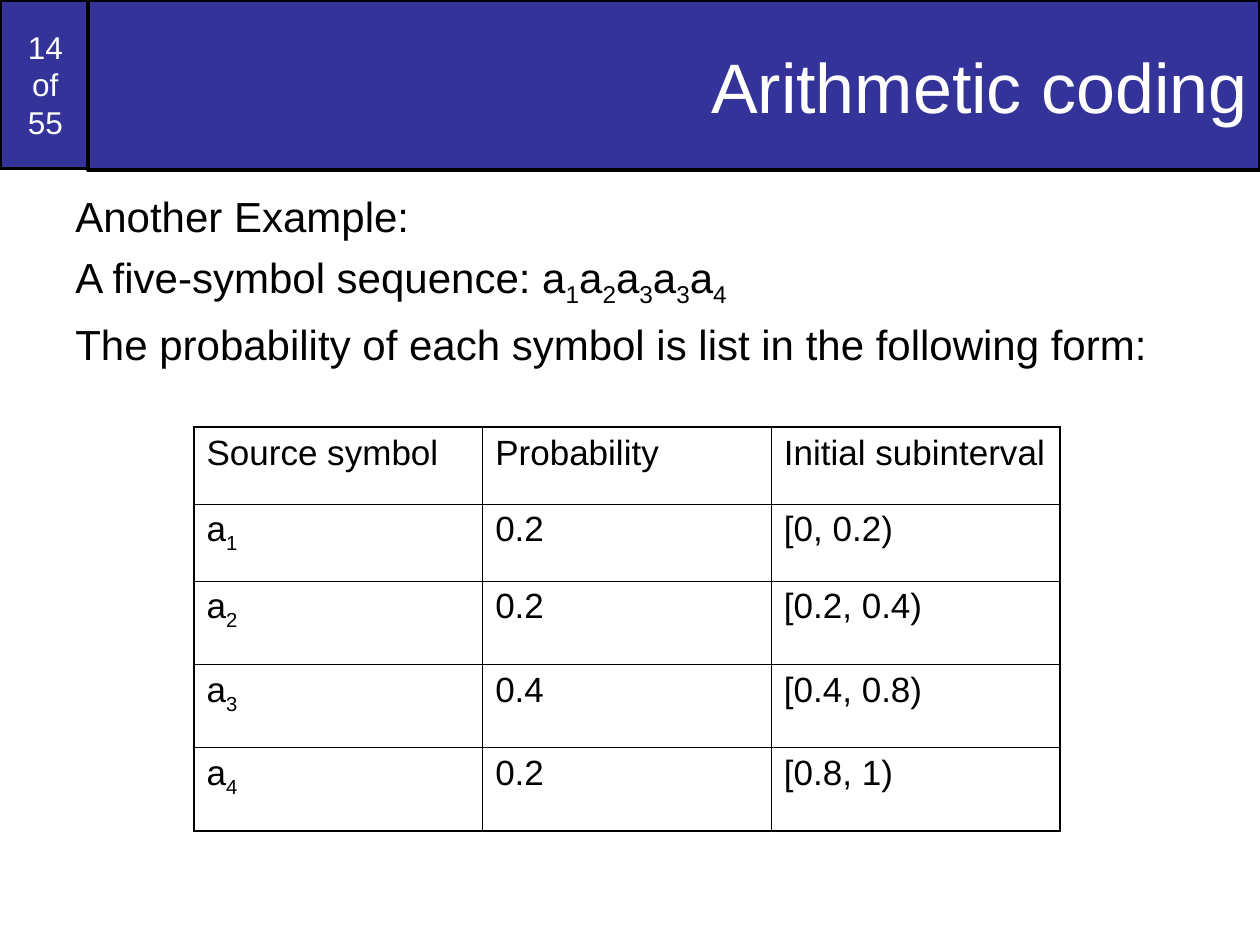
"""Build the arithmetic coding slide with its symbol probability table."""
from lxml.etree import SubElement
from pptx import Presentation
from pptx.dml.color import RGBColor
from pptx.enum.shapes import MSO_SHAPE as Shape
from pptx.enum.text import MSO_ANCHOR as Anchor, PP_ALIGN as Align
from pptx.oxml.ns import qn
from pptx.util import Cm, Pt

FONT = "Arial"
BLUE, BLACK, WHITE = "333399", "000000", "FFFFFF"
THIN, THICK = 0.45, 1.08

PAGE_NUMBER = "14\vof\v55"
TITLE = "Arithmetic coding"
EXAMPLE = [
    "Another Example:",
    "A five-symbol sequence: a_1a_2a_3a_3a_4",
    "The probability of each symbol is list in the following form:",
]
PROBABILITIES = [
    ("Source symbol", "Probability", "Initial subinterval"),
    ("a_1", "0.2", "[0, 0.2)"),
    ("a_2", "0.2", "[0.2, 0.4)"),
    ("a_3", "0.4", "[0.4, 0.8)"),
    ("a_4", "0.2", "[0.8, 1)"),
]
ROW_HEIGHTS = [1.55, 1.55, 1.68, 1.68, 1.68]
COLUMN_WIDTH = 5.82


def rgb(value):
    return RGBColor.from_string(value)


def write(frame, text, *, size, color=BLACK, align=Align.LEFT, gap=0):
    """Write newline-separated paragraphs; an underscore lowers the next character."""
    frame.word_wrap = True
    for index, content in enumerate(text.split("\n")):
        paragraph = frame.add_paragraph() if index else frame.paragraphs[0]
        paragraph.alignment = align
        paragraph.space_before = Pt(gap if index else 0)
        for number, line in enumerate(content.split("\v")):
            if number:
                paragraph.add_line_break()
            start, *lowered = line.split("_")
            pieces = [(start, False)]
            for part in lowered:
                pieces += [(part[0], True), (part[1:], False)]
            for piece, subscript in pieces:
                if piece:
                    run = paragraph.add_run()
                    run.text = piece
                    run.font.name, run.font.size = FONT, Pt(size)
                    run.font.color.rgb = rgb(color)
                    if subscript:
                        run.font._element.set("baseline", "-25000")


def add_panel(slide, left, width, height, text, **style):
    panel = slide.shapes.add_shape(Shape.RECTANGLE, Cm(left), 0, Cm(width), Cm(height))
    panel.shadow.inherit = False
    panel.fill.solid()
    panel.fill.fore_color.rgb = rgb(BLUE)
    panel.line.color.rgb = rgb(BLACK)
    panel.line.width = Pt(2)
    panel.text_frame.vertical_anchor = Anchor.MIDDLE
    write(panel.text_frame, text, color=WHITE, **style)


def set_borders(cell, widths):
    properties = cell._tc.get_or_add_tcPr()
    for side, width in widths.items():
        border = SubElement(properties, qn(f"a:ln{side}"), w=str(Pt(width)))
        SubElement(SubElement(border, qn("a:solidFill")), qn("a:srgbClr"), val=BLACK)


def add_probabilities(slide):
    rows, columns = len(PROBABILITIES), len(PROBABILITIES[0])
    table = slide.shapes.add_table(
        rows, columns, Cm(3.91), Cm(8.61),
        Cm(COLUMN_WIDTH * columns), Cm(sum(ROW_HEIGHTS)),
    ).table
    table.first_row = table.horz_banding = False
    for column in table.columns:
        column.width = Cm(COLUMN_WIDTH)
    for r, entries in enumerate(PROBABILITIES):
        table.rows[r].height = Cm(ROW_HEIGHTS[r])
        for c, entry in enumerate(entries):
            cell = table.cell(r, c)
            outer = {"L": c == 0, "R": c == columns - 1, "T": r == 0, "B": r == rows - 1}
            set_borders(cell, {side: THICK if edge else THIN for side, edge in outer.items()})
            cell.fill.background()
            write(cell.text_frame, entry, size=20)


def main():
    deck = Presentation()
    deck.slide_width, deck.slide_height = Cm(25.4), Cm(19.05)
    slide = deck.slides.add_slide(deck.slide_layouts[6])
    add_panel(slide, 0, 1.83, 3.4, PAGE_NUMBER, size=18, align=Align.CENTER)
    add_panel(slide, 1.78, 23.62, 3.43, TITLE, size=40, align=Align.RIGHT)
    example = slide.shapes.add_textbox(Cm(1.27), Cm(3.71), Cm(22.56), Cm(15.34))
    write(example.text_frame, "\n".join(EXAMPLE), size=24, gap=6)
    add_probabilities(slide)
    deck.save("out.pptx")


if __name__ == "__main__":
    main()
